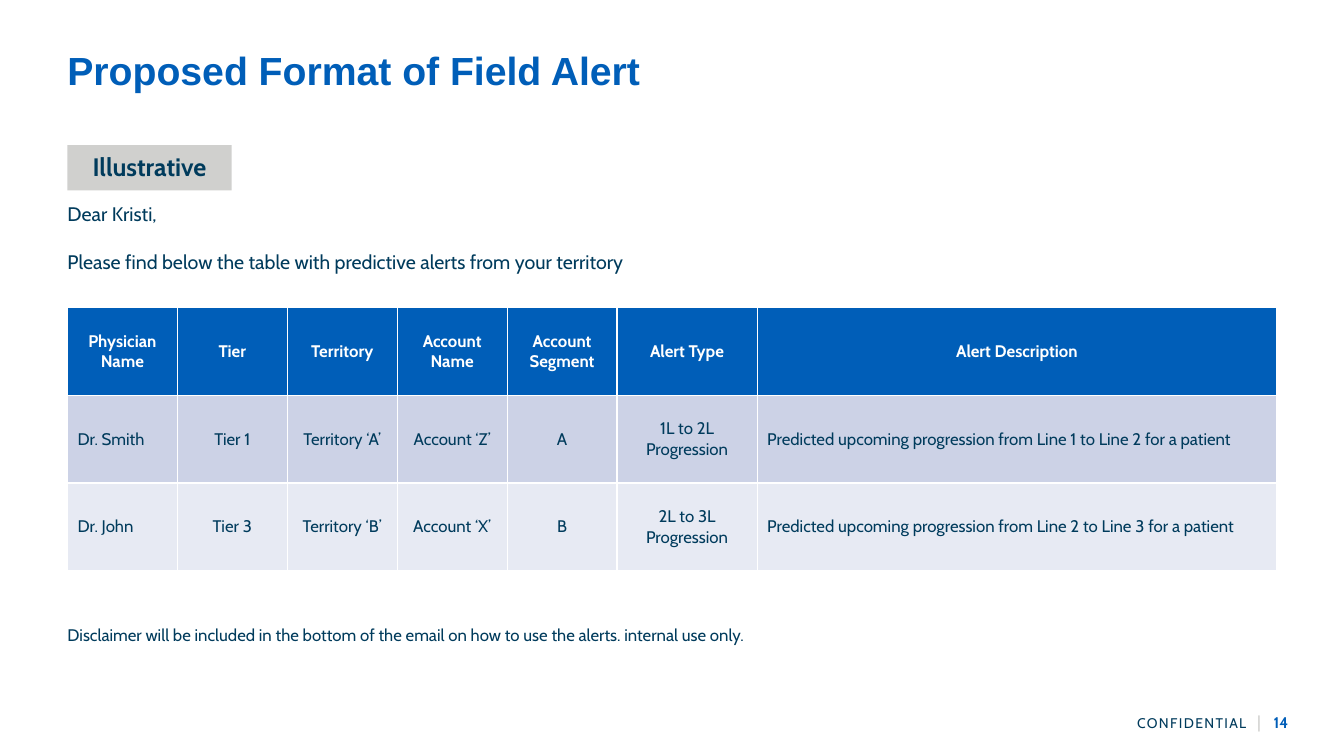
from pptx import Presentation
from pptx.dml.color import RGBColor
from pptx.enum.shapes import MSO_SHAPE
from pptx.enum.text import MSO_ANCHOR, PP_ALIGN
from pptx.util import Cm, Pt

LEFT, CENTER, RIGHT = PP_ALIGN.LEFT, PP_ALIGN.CENTER, PP_ALIGN.RIGHT
TOP, MIDDLE = MSO_ANCHOR.TOP, MSO_ANCHOR.MIDDLE
RECTANGLE = MSO_SHAPE.RECTANGLE

BLUE = RGBColor(0x00, 0x5E, 0xB8)
NAVY = RGBColor(0x00, 0x3B, 0x5C)
GREY = RGBColor(0xD0, 0xD0, 0xCE)
WHITE = RGBColor(0xFF, 0xFF, 0xFF)
BANDS = (RGBColor(0xCC, 0xD2, 0xE6), RGBColor(0xE7, 0xEA, 0xF3))
BODY_FONT, TITLE_FONT = "Cabin", "Arial"

# Content
TITLE = "Proposed Format of Field Alert"
TAG = "Illustrative"
GREETING = (
    "Dear Kristi,",
    "Please find below the table with predictive alerts from your territory",
)
DISCLAIMER = ("Disclaimer will be included in the bottom of the email on how "
              "to use the alerts. internal use only.")
PAGE_NUMBER = "14"
# Footer runs: text, size, colour, letter spacing in hundredths of a point
FOOTER = (("CONFIDENTIAL", 10, NAVY, 100), (" ", 10, NAVY, 450), ("|", 12, GREY, 0))

# Columns: heading, width in cm, alignment of the body cells
COLUMNS = (
    ("Physician Name", 2.77, LEFT),
    ("Tier", 2.77, CENTER),
    ("Territory", 2.77, CENTER),
    ("Account Name", 2.77, CENTER),
    ("Account Segment", 2.77, CENTER),
    ("Alert Type", 3.53, CENTER),
    ("Alert Description", 13.1, LEFT),
)
ALERTS = (
    ("Dr. Smith", "Tier 1", "Territory ‘A’", "Account ‘Z’", "A",
     "1L to 2L Progression",
     "Predicted upcoming progression from Line 1 to Line 2 for a patient"),
    ("Dr. John", "Tier 3", "Territory ‘B’", "Account ‘X’", "B",
     "2L to 3L Progression",
     "Predicted upcoming progression from Line 2 to Line 3 for a patient"),
)

# Layout in cm
MARGIN = 1.7
TABLE_TOP, ROW_HEIGHT = 7.75, 2.21


def style(font, size, color, bold=False, name=BODY_FONT):
    font.name, font.size, font.bold = name, Pt(size), bold
    font.color.rgb = color


def add_text(slide, box, lines, size, color, bold=False, name=BODY_FONT,
             anchor=TOP, gap=0):
    shape = slide.shapes.add_textbox(*(Cm(length) for length in box))
    frame = shape.text_frame
    frame.word_wrap = True
    frame.vertical_anchor = anchor
    frame.margin_left = frame.margin_right = 0
    frame.margin_top = frame.margin_bottom = 0
    frame.text = "\n".join(lines)
    for index, paragraph in enumerate(frame.paragraphs):
        if index:
            paragraph.space_before = Pt(gap)
        for run in paragraph.runs:
            style(run.font, size, color, bold, name)


def add_tag(slide):
    tag = slide.shapes.add_shape(RECTANGLE, Cm(MARGIN), Cm(3.66), Cm(4.14), Cm(1.14))
    tag.shadow.inherit = False
    tag.fill.solid()
    tag.fill.fore_color.rgb = GREY
    tag.line.fill.background()
    tag.text_frame.text = TAG
    tag.text_frame.vertical_anchor = MIDDLE
    paragraph = tag.text_frame.paragraphs[0]
    paragraph.alignment = CENTER
    paragraph.line_spacing = 0.9
    style(paragraph.runs[0].font, 18, NAVY, True)


def add_alert_table(slide):
    headings, widths, alignments = zip(*COLUMNS)
    rows = (headings,) + ALERTS
    table = slide.shapes.add_table(
        len(rows), len(COLUMNS), Cm(MARGIN), Cm(TABLE_TOP),
        Cm(sum(widths)), Cm(ROW_HEIGHT * len(rows))).table
    for column, width in zip(table.columns, widths):
        column.width = Cm(width)
    for r, texts in enumerate(rows):
        table.rows[r].height = Cm(ROW_HEIGHT)
        header = r == 0
        for c, text in enumerate(texts):
            cell = table.cell(r, c)
            cell.text = text
            cell.vertical_anchor = MIDDLE
            cell.fill.solid()
            cell.fill.fore_color.rgb = BLUE if header else BANDS[(r - 1) % 2]
            paragraph = cell.text_frame.paragraphs[0]
            paragraph.alignment = CENTER if header else alignments[c]
            style(paragraph.runs[0].font, 12, WHITE if header else NAVY, header)


def add_footer(slide):
    box = slide.shapes.add_textbox(Cm(28.3), Cm(17.98), Cm(3.73), Cm(0.43))
    box.text_frame.word_wrap = True
    box.text_frame.vertical_anchor = MIDDLE
    paragraph = box.text_frame.paragraphs[0]
    paragraph.alignment = RIGHT
    for text, size, color, spacing in FOOTER:
        run = paragraph.add_run()
        run.text = text
        style(run.font, size, color)
        run.font._element.set("spc", str(spacing))
    add_text(slide, (32.1, 17.98, 1.37, 0.43), [PAGE_NUMBER], 11, BLUE, True,
             anchor=MIDDLE)


def main():
    presentation = Presentation()
    presentation.slide_width, presentation.slide_height = Cm(33.87), Cm(19.05)
    slide = presentation.slides.add_slide(presentation.slide_layouts[6])

    add_text(slide, (MARGIN, 0.66, 30.48, 2.18), [TITLE], 28, BLUE, True,
             TITLE_FONT, MIDDLE)
    add_tag(slide)
    add_text(slide, (MARGIN, 5.1, 29.2, 2.2), GREETING, 14, NAVY, gap=17)
    add_alert_table(slide)
    add_text(slide, (MARGIN, 15.75, 28.7, 1.45), [DISCLAIMER], 12, NAVY)
    add_footer(slide)

    presentation.save("out.pptx")


if __name__ == "__main__":
    main()
